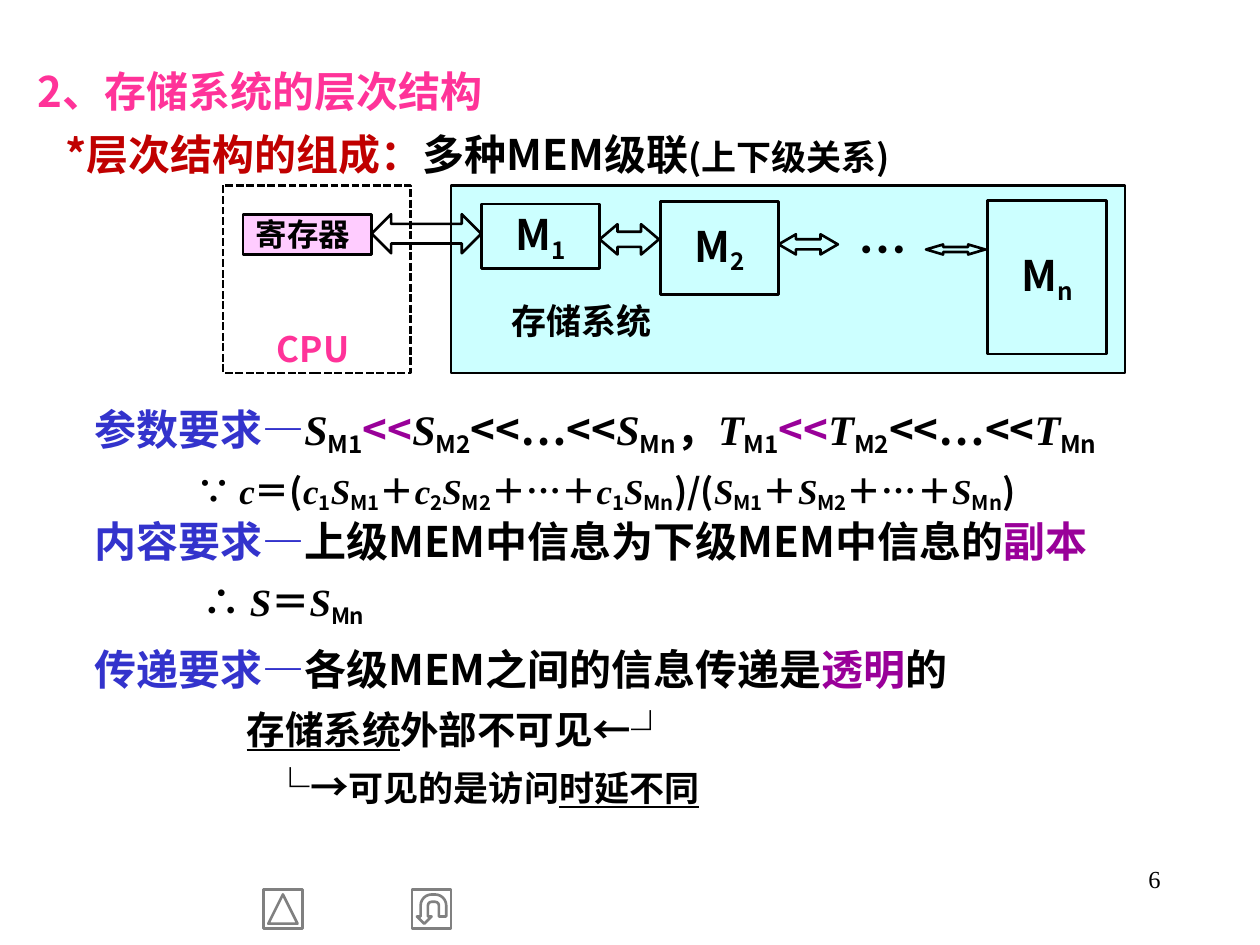
from lxml import etree
from pptx import Presentation
from pptx.dml.color import RGBColor
from pptx.enum.dml import MSO_LINE
from pptx.enum.shapes import MSO_SHAPE
from pptx.enum.text import MSO_ANCHOR, MSO_AUTO_SIZE, PP_ALIGN
from pptx.oxml.ns import qn
from pptx.util import Inches, Pt

RECTANGLE = MSO_SHAPE.RECTANGLE
DOUBLE_ARROW = MSO_SHAPE.LEFT_RIGHT_ARROW
BACK_BUTTON = MSO_SHAPE.ACTION_BUTTON_BACK_OR_PREVIOUS
RETURN_BUTTON = MSO_SHAPE.ACTION_BUTTON_RETURN
LEFT, CENTER, RIGHT = PP_ALIGN.LEFT, PP_ALIGN.CENTER, PP_ALIGN.RIGHT
TOP, MIDDLE, BOTTOM = MSO_ANCHOR.TOP, MSO_ANCHOR.MIDDLE, MSO_ANCHOR.BOTTOM
SANS, SERIF = "Noto Sans CJK SC", "Times New Roman"
BODY_SPACING = 1.25
COLORS = {
    "black": "000000", "pink": "FF3399", "red": "C00000", "blue": "3333CC",
    "purple": "990099", "cyan": "CCFFFF", "rose": "FFCCFF", "gray": "808080",
}


def write(frame, lines, align=LEFT, anchor=TOP, spacing=1.0):
    """Fill a frame with lines of (indent, size, runs); a run is (text, *styles)."""
    frame.word_wrap = True
    frame.auto_size = MSO_AUTO_SIZE.NONE
    frame.vertical_anchor = anchor
    for index, (indent, size, runs) in enumerate(lines):
        paragraph = frame.paragraphs[0] if index == 0 else frame.add_paragraph()
        paragraph.alignment = align
        paragraph.line_spacing = spacing
        paragraph.space_before = Pt(0)
        properties = paragraph._p.get_or_add_pPr()
        properties.set("marL", str(Inches(indent)))
        properties.set("indent", "0")
        for text, *styles in runs:
            run = paragraph.add_run()
            run.text = text
            font = run.font
            font.size = Pt(20 if "small" in styles else size)
            font.bold = "plain" not in styles
            font.italic = "variable" in styles
            font.underline = "underline" in styles
            font.name = SERIF if {"variable", "serif"} & set(styles) else SANS
            color = next((style for style in styles if style in COLORS), "black")
            font.color.rgb = RGBColor.from_string(COLORS[color])
            run_properties = run._r.get_or_add_rPr()
            if "sub" in styles:
                run_properties.set("baseline", "-20000" if size > 20 else "-16000")
            etree.SubElement(run_properties, qn("a:ea")).set("typeface", SANS)


def draw(shapes, kind, box, fill=None, line="black"):
    shape = shapes.add_shape(kind, *map(Inches, box))
    shape.shadow.inherit = False
    if fill:
        shape.fill.solid()
        shape.fill.fore_color.rgb = RGBColor.from_string(COLORS[fill])
    else:
        shape.fill.background()
    shape.line.color.rgb = RGBColor.from_string(COLORS[line])
    shape.line.width = Pt(1.5)
    return shape


presentation = Presentation()
presentation.slide_width, presentation.slide_height = Inches(10), Inches(7.5)
slide = presentation.slides.add_slide(presentation.slide_layouts[5])

# Title with its lead line
title = slide.shapes.title
title.left, title.top, title.width, title.height = map(Inches, (0.2, 0.37, 9.61, 1.1))
write(title.text_frame, [
    (0, 24, [("2、存储系统的层次结构", "pink")]),
    (0.22, 24, [("*层次结构的组成：", "red"), ("多种MEM级联",),
                ("(上下级关系)", "small")]),
], spacing=BODY_SPACING)

# Formulas: size and time ordering, then the average cost
ordering = [("参数要求—", "blue")]
for symbol, ending in (("S", "，"), ("T", "")):
    ordering += [(symbol, "variable"), ("M1", "sub"), ("<<", "purple"),
                 (symbol, "variable"), ("M2", "sub"), ("<<…<<",),
                 (symbol, "variable"), ("Mn", "sub")]
    if ending:
        ordering.append((ending,))

cost = [("∵ ",), ("c", "variable"), ("＝(",)]
levels = (("M1", "1", "＋"), ("M2", "2", "＋…＋"), ("Mn", "1", ""))
for weighted, ending in ((True, ")/("), (False, ")")):
    for level, weight, plus in levels:
        if weighted:
            cost += [("c", "variable"), (weight, "sub")]
        cost += [("S", "variable"), (level, "sub"), (plus or ending,)]

# Requirement paragraphs
requirements = [
    (3.04, 9.61, 1.03, [(0.45, 24, ordering), (1.26, 20, cost)]),
    (4.96, 9.61, 1.53, [
        (0.45, 24, [("传递要求—", "blue"), ("各级MEM之间的信息传递是",),
                    ("透明", "purple"), ("的",)]),
        (1.66, 22, [("存储系统", "underline"), ("外部不可见←",), ("┘", "plain")]),
        (1.86, 22, [("└→",), ("可见的是访问", "small"),
                    ("时延不同", "small", "underline")]),
    ]),
    (3.94, 9.69, 1.07, [
        (0.45, 24, [("内容要求—", "blue"), ("上级MEM中信息为下级MEM中信息的",),
                    ("副本", "purple")]),
        (1.31, 22, [("∴ ",), ("S", "variable"), ("＝",), ("S", "variable"),
                    ("Mn", "sub")]),
    ]),
]
for top, width, height, lines in requirements:
    box = slide.shapes.add_textbox(*map(Inches, (0.2, top, width, height)))
    write(box.text_frame, lines, spacing=BODY_SPACING)

# Diagram: storage system, registers and memory levels
diagram = slide.shapes.add_group_shape().shapes
storage = draw(diagram, RECTANGLE, (3.58, 1.47, 5.35, 1.49), "cyan")
write(storage.text_frame, [(0.38, 20, [("存储系统", "serif")])], anchor=BOTTOM)
storage.text_frame.margin_bottom = Inches(0.25)

registers = draw(diagram, RECTANGLE, (1.93, 1.7, 1.02, 0.32), "rose")
write(registers.text_frame, [(0, 18, [("寄存器",)])], anchor=MIDDLE)

for level, left, top, height in (("1", 3.82, 1.62, 0.51), ("2", 5.24, 1.6, 0.74),
                                 ("n", 7.84, 1.59, 1.22)):
    memory = draw(diagram, RECTANGLE, (left, top, 0.94, height))
    write(memory.text_frame, [(0, 24, [("M",), (level, "sub")])], CENTER, MIDDLE)

processor = draw(diagram, RECTANGLE, (1.77, 1.47, 1.49, 1.49))
processor.line.dash_style = MSO_LINE.SQUARE_DOT

# Double arrows between the levels
for box, head in (((2.95, 1.7, 0.87, 0.31), 0.5), ((4.76, 1.78, 0.47, 0.24), 0.59),
                  ((6.18, 1.86, 0.47, 0.16), 0.86), ((7.35, 1.94, 0.47, 0.08), 1.7)):
    arrow = draw(diagram, DOUBLE_ARROW, box)
    arrow.adjustments[0], arrow.adjustments[1] = 0.5, head

# Diagram labels
for text, size, color, box in (("CPU", 20, "pink", (2.09, 2.57, 0.79, 0.39)),
                               ("…", 28, "black", (6.73, 1.78, 0.55, 0.39))):
    frame = diagram.add_textbox(*map(Inches, box)).text_frame
    frame.margin_left = frame.margin_right = Inches(0.02)
    frame.margin_top = frame.margin_bottom = Inches(0.01)
    write(frame, [(0, size, [(text, color)])], CENTER, MIDDLE)

# Navigation buttons and page number
for kind, left, rotation in ((BACK_BUTTON, 2.09, 90), (RETURN_BUTTON, 3.27, 180)):
    button = draw(slide.shapes, kind, (left, 7.06, 0.31, 0.31), line="gray")
    button.rotation = rotation

page = slide.shapes.add_textbox(*map(Inches, (7.23, 6.81, 2.08, 0.5)))
write(page.text_frame, [(0, 14, [("6", "serif", "plain")])], RIGHT)

presentation.save("out.pptx")
